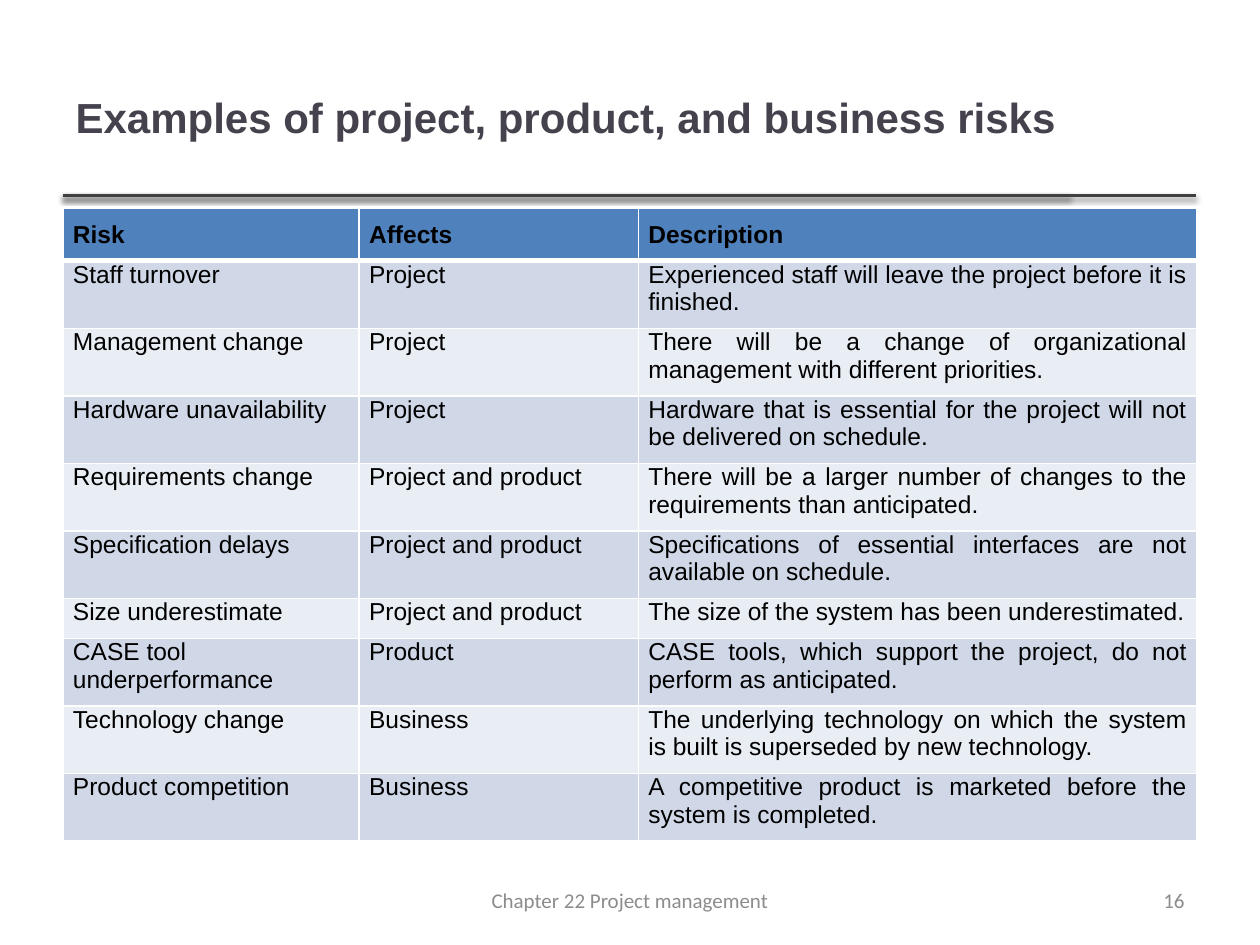
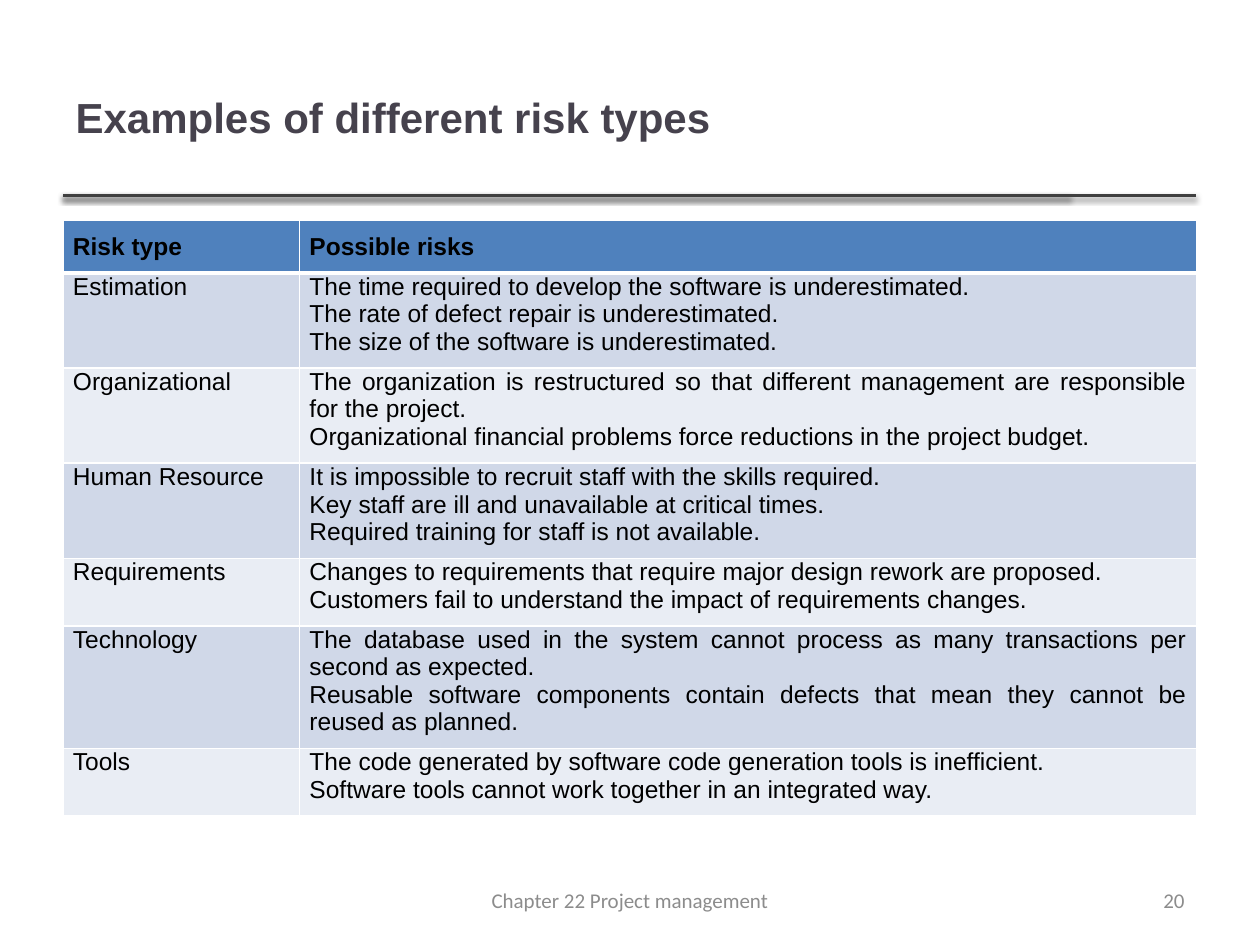
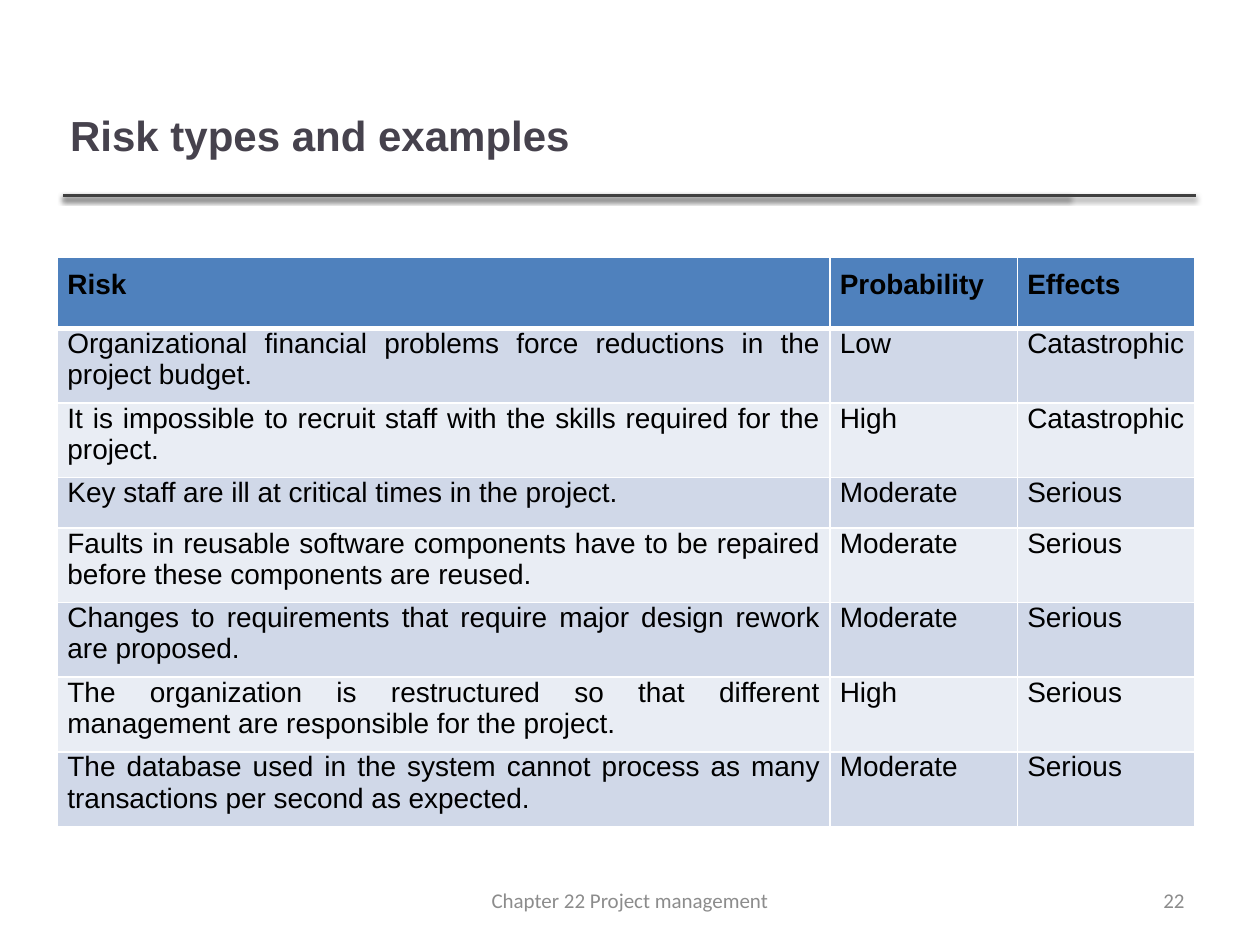
from lxml import etree
from pptx import Presentation
from pptx.dml.color import RGBColor
from pptx.enum.shapes import MSO_CONNECTOR
from pptx.enum.text import MSO_ANCHOR, PP_ALIGN
from pptx.oxml import parse_xml
from pptx.oxml.ns import nsdecls, qn
from pptx.util import Cm, Pt

LEFT, CENTER, RIGHT, JUSTIFY = PP_ALIGN.LEFT, PP_ALIGN.CENTER, PP_ALIGN.RIGHT, PP_ALIGN.JUSTIFY
MIDDLE = MSO_ANCHOR.MIDDLE
STRAIGHT = MSO_CONNECTOR.STRAIGHT

COLORS = {
    "title": "46424D", "rule": "404040", "footer": "8C8C8C", "text": "000000",
    "header": "4F81BD", "odd": "D0D8E8", "even": "E9EDF4", "border": "FFFFFF",
}
TITLE_ONLY = 5
TITLE_BOX = (1.27, 0.76, 20.27, 3.18)
RULE_LEFT, RULE_TOP, RULE_ENDS = 1.27, 3.94, (21.56, 24.1)
FOOTER = "Chapter 22 Project management"
FOOTER_BOX = (8.68, 17.65, 8.04, 1.01)
NUMBER_BOX = (18.2, 17.65, 5.93, 1.01)
MARGIN_SIDE, MARGIN_END = 0.2, 0.25

# Cells holding several paragraphs are lists; row heights are minimums in cm.
SLIDES = [
    {
        "number": "16",
        "title": "Examples of project, product, and business risks",
        "title_box": TITLE_BOX,
        "origin": (1.27, 4.2),
        "columns": (5.97, 5.63, 11.26),
        "alignments": (LEFT, LEFT, JUSTIFY),
        "header_height": 1.04, "row_height": 0.8, "size": 14,
        "rows": [
            ("Risk", "Affects", "Description"),
            ("Staff turnover", "Project",
             "Experienced staff will leave the project before it is finished."),
            ("Management change", "Project",
             "There will be a change of organizational management with different priorities."),
            ("Hardware unavailability", "Project",
             "Hardware that is essential for the project will not be delivered on schedule."),
            ("Requirements change", "Project and product",
             "There will be a larger number of changes to the requirements than anticipated."),
            ("Specification delays", "Project and product",
             "Specifications of essential interfaces are not available on schedule."),
            ("Size underestimate", "Project and product",
             "The size of the system has been underestimated."),
            ("CASE tool underperformance", "Product",
             "CASE tools, which support the project, do not perform as anticipated."),
            ("Technology change", "Business",
             "The underlying technology on which the system is built is superseded by new technology."),
            ("Product competition", "Business",
             "A competitive product is marketed before the system is completed."),
        ],
    },
    {
        "number": "20",
        "title": "Examples of different risk types",
        "title_box": TITLE_BOX,
        "origin": (1.27, 4.45),
        "columns": (4.77, 18.09),
        "alignments": (JUSTIFY, JUSTIFY),
        "header_height": 1.04, "row_height": 1.04, "size": 14,
        "rows": [
            ("Risk type", "Possible risks"),
            ("Estimation", [
                "The time required to develop the software is underestimated.",
                "The rate of defect repair is underestimated.",
                "The size of the software is underestimated."]),
            ("Organizational", [
                "The organization is restructured so that different management are responsible for the project.",
                "Organizational financial problems force reductions in the project budget."]),
            ("Human Resource", [
                "It is impossible to recruit staff with the skills required.",
                "Key staff are ill and unavailable at critical times.",
                "Required training for staff is not available."]),
            ("Requirements", [
                "Changes to requirements that require major design rework are proposed.",
                "Customers fail to understand the impact of requirements changes."]),
            ("Technology", [
                "The database used in the system cannot process as many transactions per second as expected.",
                "Reusable software components contain defects that mean they cannot be reused as planned."]),
            ("Tools", [
                "The code generated by software code generation tools is inefficient.",
                "Software tools cannot work together in an integrated way."]),
        ],
    },
    {
        "number": "22",
        "title": "Risk types and examples",
        "title_box": (1.16, 1.25, 19.38, 2.92),
        "origin": (1.16, 5.18),
        "columns": (15.57, 3.78, 3.58),
        "alignments": (JUSTIFY, JUSTIFY, JUSTIFY),
        "header_height": 1.44, "row_height": 1.01, "size": 16,
        "rows": [
            ("Risk", "Probability", "Effects"),
            ("Organizational financial problems force reductions in the project budget.",
             "Low", "Catastrophic"),
            ("It is impossible to recruit staff with the skills required for the project.",
             "High", "Catastrophic"),
            ("Key staff are ill at critical times in the project.", "Moderate", "Serious"),
            ("Faults in reusable software components have to be repaired before these "
             "components are reused.", "Moderate", "Serious"),
            ("Changes to requirements that require major design rework are proposed.",
             "Moderate", "Serious"),
            ("The organization is restructured so that different management are responsible "
             "for the project.", "High", "Serious"),
            ("The database used in the system cannot process as many transactions per second "
             "as expected.", "Moderate", "Serious"),
        ],
    },
]


def rgb(name):
    return RGBColor.from_string(COLORS[name])


def write(frame, lines, size, color, align, font="Arial", bold=False):
    for index, line in enumerate(lines):
        para = frame.add_paragraph() if index else frame.paragraphs[0]
        para.alignment = align
        span = para.add_run()
        span.text = line
        span.font.size, span.font.name, span.font.bold = Pt(size), font, bold
        span.font.color.rgb = rgb(color)


def place(shape, box):
    shape.left, shape.top, shape.width, shape.height = map(Cm, box)


def add_rules(slide, layout):
    """Draw the two rules under the title and hand them to the layout."""
    for end in RULE_ENDS:
        rule = slide.shapes.add_connector(
            STRAIGHT, Cm(RULE_LEFT), Cm(RULE_TOP), Cm(end), Cm(RULE_TOP))
        rule.line.color.rgb = rgb("rule")
        rule.line.width = Pt(2)
        rule.element.spPr.append(parse_xml(
            f'<a:effectLst {nsdecls("a")}>'
            f'<a:outerShdw blurRad="{Pt(3.1)}" dist="{Pt(1.6)}" dir="5400000" rotWithShape="0">'
            '<a:srgbClr val="000000"><a:alpha val="38000"/></a:srgbClr>'
            '</a:outerShdw></a:effectLst>'))
        layout.element.cSld.spTree.append(rule.element)


def add_title(slide, content):
    title = slide.shapes.title
    place(title, content["title_box"])
    title.text_frame.vertical_anchor = MIDDLE
    write(title.text_frame, [content["title"]], 24, "title", LEFT, bold=True)


def add_footer(slide, box, text, align):
    footer = slide.shapes.add_textbox(*map(Cm, box))
    footer.text_frame.word_wrap = True
    footer.text_frame.vertical_anchor = MIDDLE
    write(footer.text_frame, [text], 12, "footer", align, font="Calibri")


def set_borders(cell, row_index):
    """White borders, with a thicker one between header and body."""
    top = 3 if row_index == 1 else 1
    bottom = 3 if row_index == 0 else 1
    properties = cell._tc.get_or_add_tcPr()
    for side, width in (("L", 1), ("R", 1), ("T", top), ("B", bottom)):
        line = etree.SubElement(properties, qn(f"a:ln{side}"), w=str(Pt(width)))
        fill = etree.SubElement(line, qn("a:solidFill"))
        etree.SubElement(fill, qn("a:srgbClr"), val=COLORS["border"])


def add_risk_table(slide, content):
    rows, columns = content["rows"], content["columns"]
    heights = [content["header_height"]] + [content["row_height"]] * (len(rows) - 1)
    left, top = content["origin"]
    table = slide.shapes.add_table(
        len(rows), len(columns), Cm(left), Cm(top), Cm(sum(columns)), Cm(sum(heights))).table
    for column, width in zip(table.columns, columns):
        column.width = Cm(width)
    for row_index, (row, height) in enumerate(zip(rows, heights)):
        table.rows[row_index].height = Cm(height)
        is_header = row_index == 0
        band = "header" if is_header else "odd" if row_index % 2 else "even"
        for column_index, value in enumerate(row):
            cell = table.cell(row_index, column_index)
            set_borders(cell, row_index)
            cell.fill.solid()
            cell.fill.fore_color.rgb = rgb(band)
            cell.margin_left = cell.margin_right = Cm(MARGIN_SIDE)
            cell.margin_top = Cm(MARGIN_END if is_header else 0)
            cell.margin_bottom = Cm(MARGIN_END)
            align = JUSTIFY if is_header else content["alignments"][column_index]
            lines = value if isinstance(value, list) else [value]
            write(cell.text_frame, lines, content["size"], "text", align, bold=is_header)


def main():
    deck = Presentation()
    deck.slide_width, deck.slide_height = Cm(25.4), Cm(19.05)
    layout = deck.slide_layouts[TITLE_ONLY]
    for index, content in enumerate(SLIDES):
        slide = deck.slides.add_slide(layout)
        if index == 0:
            add_rules(slide, layout)
        add_title(slide, content)
        add_risk_table(slide, content)
        add_footer(slide, FOOTER_BOX, FOOTER, CENTER)
        add_footer(slide, NUMBER_BOX, content["number"], RIGHT)
    deck.save("out.pptx")


if __name__ == "__main__":
    main()
